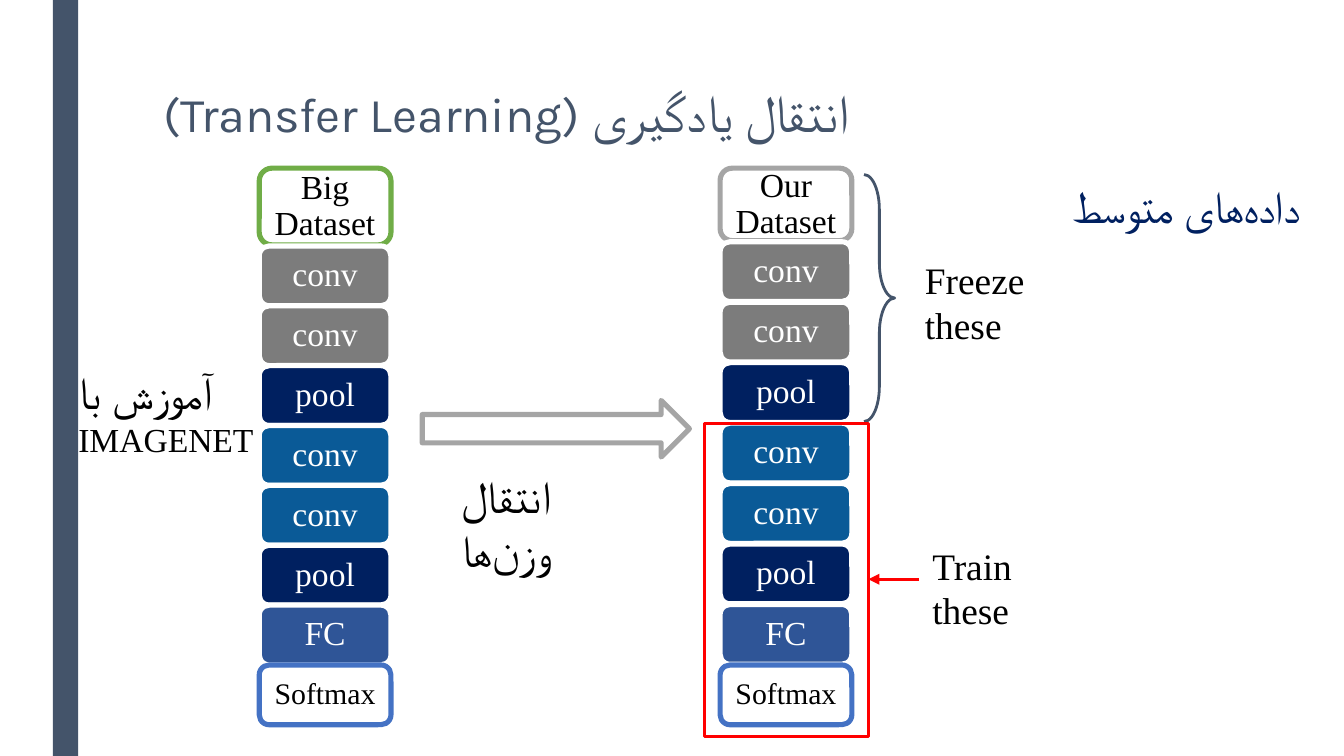
from dataclasses import dataclass
from typing import Optional

from lxml import etree
from pptx import Presentation
from pptx import util as u
from pptx.dml.color import RGBColor
from pptx.enum import shapes, text
from pptx.oxml import ns

WHITE = RGBColor(0xFF, 0xFF, 0xFF)
BLACK = RGBColor(0x00, 0x00, 0x00)
SLATE = RGBColor(0x44, 0x54, 0x6A)
GREEN = RGBColor(0x70, 0xAD, 0x47)
SILVER = RGBColor(0xA5, 0xA5, 0xA5)
GRAY = RGBColor(0x7C, 0x7C, 0x7C)
NAVY = RGBColor(0x00, 0x20, 0x60)
OCEAN = RGBColor(0x0A, 0x5A, 0x97)
BLUE = RGBColor(0x2F, 0x55, 0x97)
SKY = RGBColor(0x44, 0x72, 0xC4)
RED = RGBColor(0xFF, 0x00, 0x00)

SERIF = "Times New Roman"
NON_JOINER = chr(0x200C)  # zero-width, keeps Persian suffixes unjoined
THICK, THIN = 2.75, 1.5
LAYER_WIDTH, LAYER_HEIGHT = 2.49, 1.13
STACK_TOP, SOFTMAX_TOP = 3.18, 12.57
SHAPE = shapes.MSO_SHAPE


@dataclass(frozen=True)
class Box:
    """Place and size in centimetres."""
    left: float
    top: float
    width: float
    height: float

    def lengths(self) -> list:
        return [u.Cm(value) for value in (self.left, self.top, self.width, self.height)]


@dataclass(frozen=True)
class Layer:
    label: str
    fill: RGBColor
    line: RGBColor = WHITE
    color: RGBColor = WHITE
    size: int = 18


@dataclass(frozen=True)
class Network:
    dataset: Layer
    left: float
    dataset_height: float
    layers_top: float


@dataclass(frozen=True)
class Label:
    runs: tuple  # (wording, size) pairs
    box: Box
    color: RGBColor = BLACK


CONV_EARLY = Layer("conv", GRAY)
CONV_LATE = Layer("conv", OCEAN)
POOL = Layer("pool", NAVY)
LAYERS = (
    CONV_EARLY, CONV_EARLY, POOL, CONV_LATE, CONV_LATE, POOL,
    Layer("FC", BLUE),
    Layer("Softmax", WHITE, SKY, BLACK, 16),
)
NETWORKS = (
    Network(Layer("Big Dataset", WHITE, GREEN, BLACK), 4.9, 1.45, 4.65),
    Network(Layer("Our Dataset", WHITE, SILVER, BLACK), 13.61, 1.37, 4.57),
)
LABELS = (
    Label((("آموزش با ", 24), ("IMAGENET", 18)), Box(1.23, 6.65, 3.86, 1.8)),
    Label((("Freeze these", 20),), Box(17.23, 4.62, 2.79, 2.13)),
    Label((("Train these", 20),), Box(17.37, 10.01, 2.31, 1.9)),
    Label(((f"داده{NON_JOINER}های متوسط", 24),), Box(20.04, 3.12, 4.9, 1.7), NAVY),
    Label(((f"انتقال وزن{NON_JOINER}ها", 24),), Box(8.48, 8.61, 4.06, 1.8)),
)


def write_text(shape, runs: tuple, *, color: RGBColor = BLACK, font: str = SERIF,
               align=text.PP_ALIGN.LEFT, anchor=text.MSO_ANCHOR.TOP,
               inset: float = 0.25, spacing: float = 1.0, rtl: bool = False) -> None:
    frame = shape.text_frame
    frame.word_wrap = True
    frame.vertical_anchor = anchor
    frame.margin_left = frame.margin_right = u.Cm(inset)
    frame.margin_top = frame.margin_bottom = u.Cm(inset)
    paragraph = frame.paragraphs[0]
    paragraph.alignment = align
    paragraph.line_spacing = spacing
    if rtl:
        paragraph._p.get_or_add_pPr().set("rtl", "1")
    for wording, size in runs:
        run = paragraph.add_run()
        run.text = wording
        run.font.size = u.Pt(size)
        run.font.name = font
        run.font.color.rgb = color
        complex_script = etree.SubElement(run._r.get_or_add_rPr(), ns.qn("a:cs"))
        complex_script.set("typeface", font)


def add_figure(slide, kind, box: Box, *, fill: Optional[RGBColor] = None,
               line: Optional[RGBColor] = None, weight: float = THICK):
    shape = slide.shapes.add_shape(kind, *box.lengths())
    shape.shadow.inherit = False
    if fill is None:
        shape.fill.background()
    else:
        shape.fill.solid()
        shape.fill.fore_color.rgb = fill
    if line is None:
        shape.line.fill.background()
    else:
        shape.line.color.rgb = line
        shape.line.width = u.Pt(weight)
    return shape


def add_layer(slide, layer: Layer, box: Box) -> None:
    shape = add_figure(slide, SHAPE.ROUNDED_RECTANGLE, box, fill=layer.fill, line=layer.line)
    write_text(shape, ((layer.label, layer.size),), color=layer.color, inset=0.18,
               spacing=0.9, align=text.PP_ALIGN.CENTER, anchor=text.MSO_ANCHOR.MIDDLE)


def add_network(slide, network: Network) -> None:
    """Stack the dataset box and evenly spaced layers down to the softmax."""
    add_layer(slide, network.dataset,
              Box(network.left, STACK_TOP, LAYER_WIDTH, network.dataset_height))
    pitch = (SOFTMAX_TOP - network.layers_top) / (len(LAYERS) - 1)
    for index, layer in enumerate(LAYERS):
        top = network.layers_top + index * pitch
        add_layer(slide, layer, Box(network.left, top, LAYER_WIDTH, LAYER_HEIGHT))


def add_arrow(slide, start: tuple, end: tuple, color: RGBColor) -> None:
    ends = [u.Cm(value) for value in (*start, *end)]
    arrow = slide.shapes.add_connector(shapes.MSO_CONNECTOR.STRAIGHT, *ends)
    arrow.line.color.rgb = color
    arrow.line.width = u.Pt(THIN)
    tail = etree.SubElement(arrow.line._get_or_add_ln(), ns.qn("a:tailEnd"))
    tail.set("type", "triangle")
    etree.SubElement(arrow._element.spPr, ns.qn("a:effectLst"))


def main() -> None:
    presentation = Presentation()
    presentation.slide_width, presentation.slide_height = u.Cm(25.4), u.Cm(14.29)
    slide = presentation.slides.add_slide(presentation.slide_layouts[6])

    add_figure(slide, SHAPE.RECTANGLE, Box(1, 0, 0.48, 14.29), fill=SLATE)
    title = slide.shapes.add_textbox(*Box(2.84, 1.42, 20.02, 1.7).lengths())
    write_text(title, (("انتقال یادگیری ", 28), ("(Transfer Learning)", 26)),
               color=SLATE, font="Karla", spacing=0.89, rtl=True)

    for network in NETWORKS:
        add_network(slide, network)

    brace = add_figure(slide, SHAPE.RIGHT_BRACE, Box(16.33, 3.3, 0.58, 4.67),
                       line=SLATE, weight=THIN)
    brace.adjustments[0] = 1.14
    add_arrow(slide, (17.37, 10.95), (16.41, 10.95), RED)
    add_figure(slide, SHAPE.RECTANGLE, Box(13.31, 8, 3.1, 5.92), line=RED, weight=THIN)
    add_figure(slide, SHAPE.RIGHT_ARROW, Box(7.98, 7.57, 5.05, 1.07), fill=WHITE, line=SILVER)

    for label in LABELS:
        textbox = slide.shapes.add_textbox(*label.box.lengths())
        write_text(textbox, label.runs, color=label.color)

    presentation.save("out.pptx")


if __name__ == "__main__":
    main()
